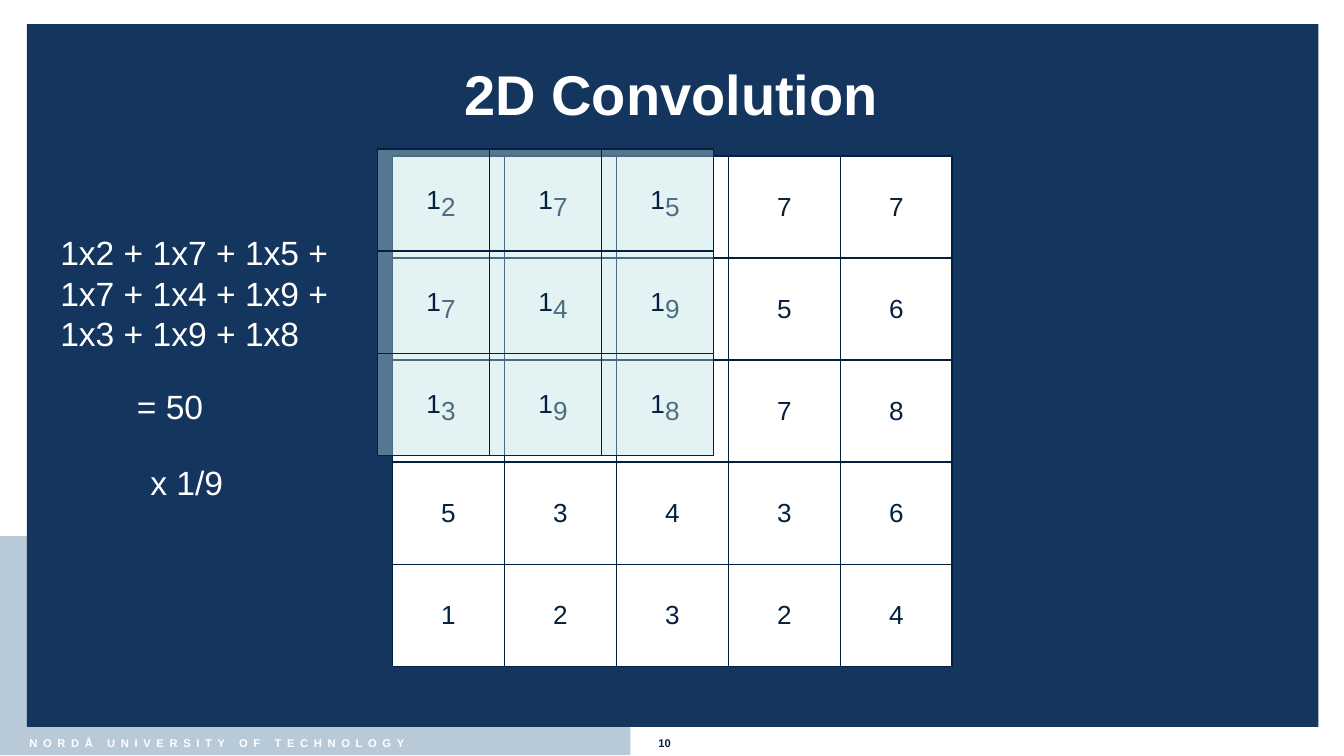
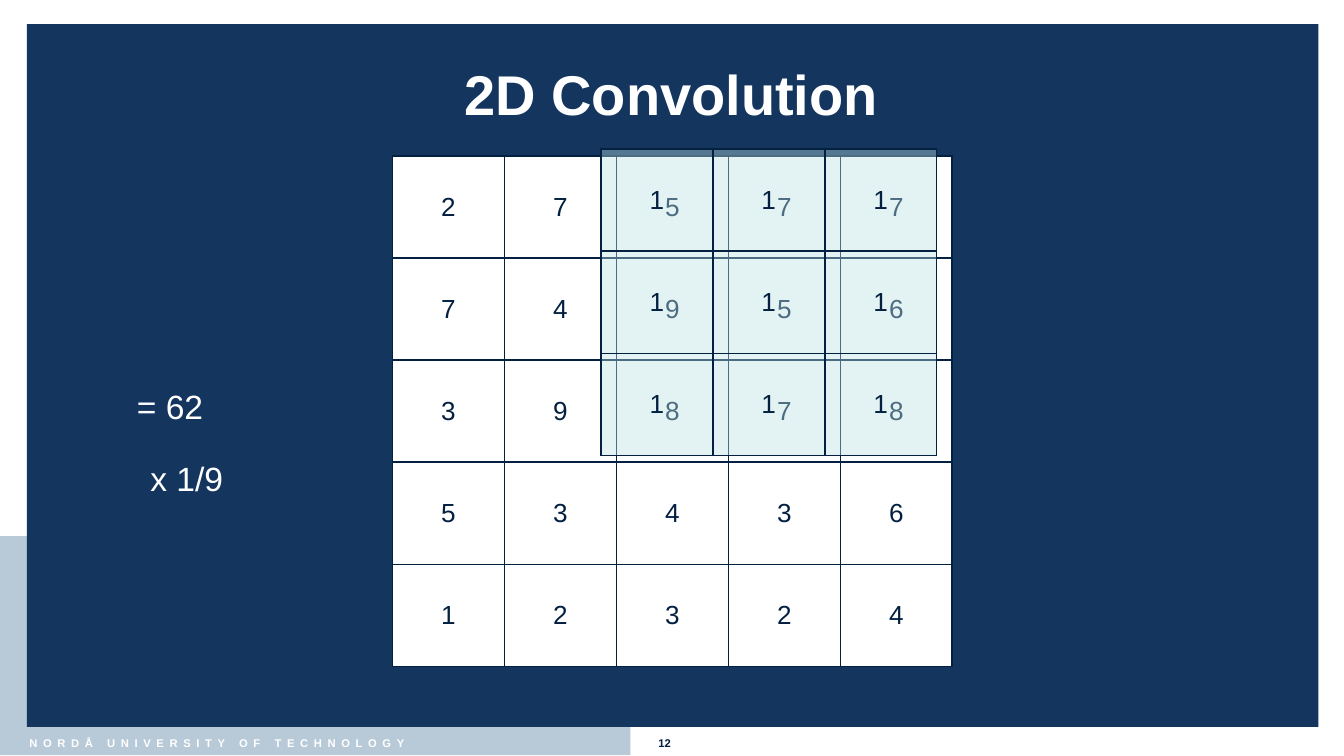
from lxml.etree import SubElement
from pptx import Presentation
from pptx.dml.color import RGBColor
from pptx.enum.shapes import MSO_SHAPE
from pptx.enum.text import MSO_ANCHOR, PP_ALIGN
from pptx.oxml import parse_xml
from pptx.oxml.ns import nsdecls, qn
from pptx.util import Inches, Pt

FONT = "Arial"
NAVY, PALE, INK, WHITE, KERNEL = "14355E", "B8C9D7", "032040", "FFFFFF", "BBE0E3"
CELL_WIDTH, CELL_HEIGHT = Inches(2.5) // 3, Inches(0.76)

# Pale corner band, then the navy panel: colour, left, top, width, height
BANDS = [(PALE, 0, 3.99, 4.69, 1.63), (NAVY, 0.2, 0.18, 9.61, 5.23)]

IMAGE_VALUES = ["27577", "74956", "39878", "53436", "12324"]
KERNEL_VALUES = ["111"] * 3

# Each slide: page number, left edge of the kernel, notes (left, top, width, height, lines)
SLIDES = [
    ("10", 2.81, [
        (1.02, 3.39, 0.87, 0.4, ["x 1/9"]),
        (0.35, 1.68, 2.28, 1.01,
         ["1x2 + 1x7 + 1x5 +", "1x7 + 1x4 + 1x9 +", "1x3 + 1x9 + 1x8"]),
        (0.92, 2.82, 0.87, 0.4, ["= 50"]),
    ]),
    ("12", 4.47, [
        (1.02, 3.36, 0.87, 0.4, ["x 1/9"]),
        (0.92, 2.82, 0.87, 0.4, ["= 62"]),
    ]),
]


def color(value):
    return RGBColor.from_string(value)


def add_run(para, text, size, tint, bold=False):
    span = para.add_run()
    span.text = text
    span.font.name = FONT
    span.font.size = Pt(size)
    span.font.bold = bold
    span.font.color.rgb = color(tint)
    return span


deck = Presentation()
deck.slide_width = Inches(10)
deck.slide_height = deck.slide_width * 9 // 16

for number, kernel_left, notes in SLIDES:
    page = deck.slides.add_slide(deck.slide_layouts[6])

    # Background bands
    for tint, *place in BANDS:
        band = page.shapes.add_shape(MSO_SHAPE.RECTANGLE, *map(Inches, place))
        band.shadow.inherit = False
        band.fill.solid()
        band.fill.fore_color.rgb = color(tint)
        band.line.fill.background()

    # Footer: spaced name, then the page number at a tab stop
    footer = page.shapes.add_textbox(Inches(0.12), Inches(5.43), Inches(5.05), Inches(0.19))
    footer.text_frame.word_wrap = True
    para = footer.text_frame.paragraphs[0]
    stops = SubElement(para._p.get_or_add_pPr(), qn("a:tabLst"))
    SubElement(stops, qn("a:tab"), pos=str(Inches(4.68)), algn="l")
    name = add_run(para, "NORDÅ UNIVERSITY OF TECHNOLOGY", 6, WHITE, bold=True)
    name.font._element.set("spc", "300")
    add_run(para, "\t" + number, 6, INK, bold=True)

    # Title
    title = page.shapes.add_textbox(Inches(0.35), Inches(0.2), Inches(9.29), Inches(0.99))
    title.text_frame.word_wrap = True
    title.text_frame.vertical_anchor = MSO_ANCHOR.MIDDLE
    para = title.text_frame.paragraphs[0]
    para.alignment = PP_ALIGN.CENTER
    add_run(para, "2D Convolution", 30, WHITE, bold=True)

    # Image grid, with the see-through kernel over it
    for values, left, top, tint, opacity in [
        (IMAGE_VALUES, 2.92, 1.16, WHITE, 100),
        (KERNEL_VALUES, kernel_left, 1.11, KERNEL, 40),
    ]:
        count = len(values)
        grid = page.shapes.add_table(count, count, Inches(left), Inches(top),
                                     CELL_WIDTH * count, CELL_HEIGHT * count).table
        grid.first_row = grid.horz_banding = False
        for column in grid.columns:
            column.width = CELL_WIDTH
        for row, digits in zip(grid.rows, values):
            row.height = CELL_HEIGHT
            for cell, digit in zip(row.cells, digits):
                cell.margin_left = cell.margin_right = Inches(0.07)
                cell.margin_top = cell.margin_bottom = Inches(0.04)
                cell.vertical_anchor = MSO_ANCHOR.MIDDLE
                cell.fill.solid()
                cell.fill.fore_color.rgb = color(tint)
                properties = cell._tc.tcPr
                if opacity < 100:
                    shade = properties.find(".//" + qn("a:srgbClr"))
                    SubElement(shade, qn("a:alpha"), val=str(opacity * 1000))
                for position, side in enumerate("LRTB"):
                    properties.insert(position, parse_xml(
                        f'<a:ln{side} {nsdecls("a")} w="{Pt(1)}"><a:solidFill>'
                        f'<a:srgbClr val="{INK}"/></a:solidFill></a:ln{side}>'))
                para = cell.text_frame.paragraphs[0]
                para.alignment = PP_ALIGN.CENTER
                add_run(para, digit, 14, INK)

    # Worked sum beside the grid
    for *place, lines in notes:
        box = page.shapes.add_textbox(*map(Inches, place))
        frame = box.text_frame
        frame.word_wrap = True
        for index, line in enumerate(lines):
            para = frame.add_paragraph() if index else frame.paragraphs[0]
            add_run(para, line, 18, WHITE)

deck.save("out.pptx")
